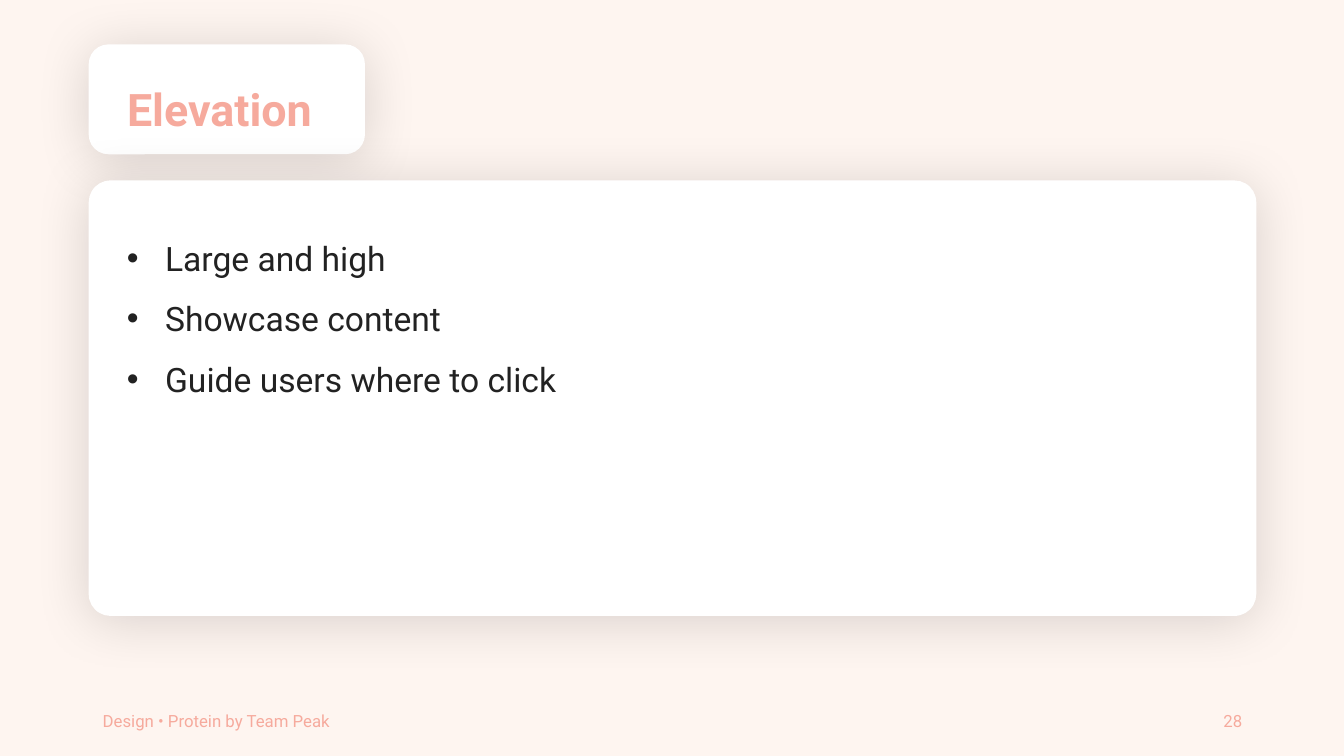
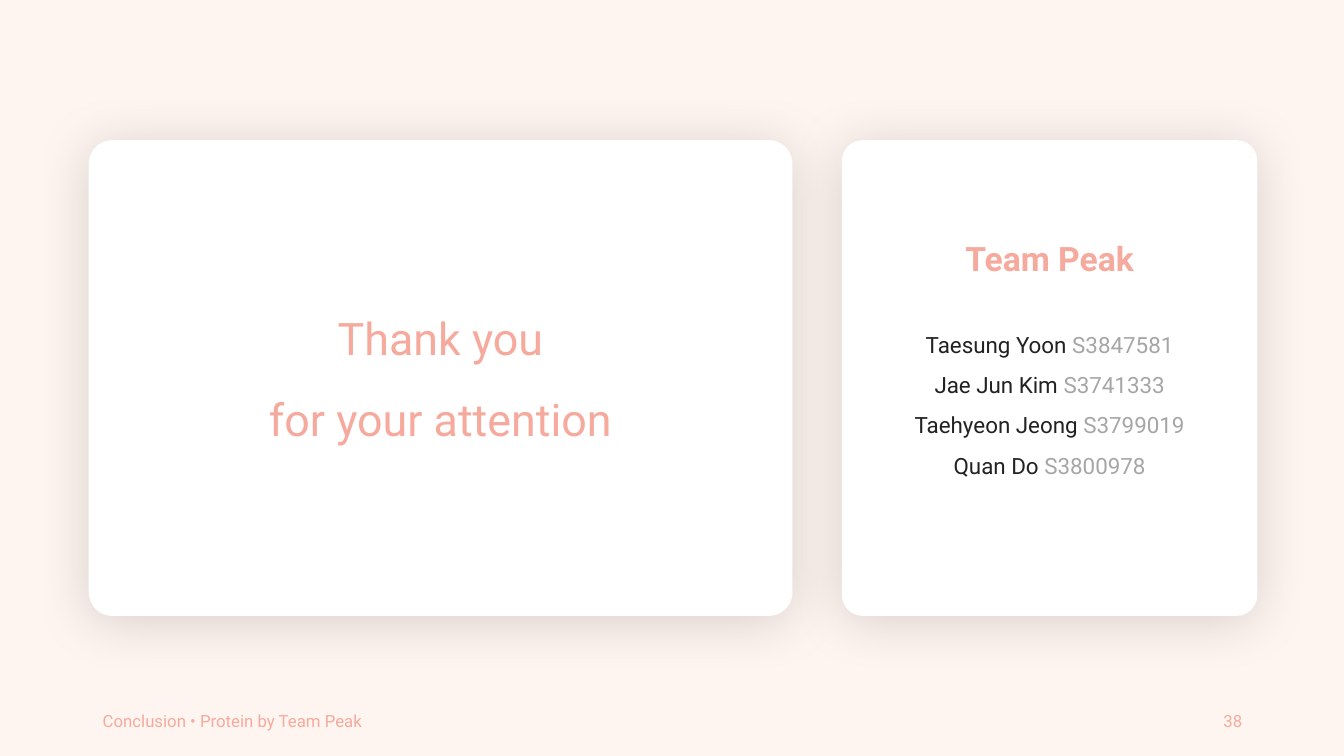
from lxml.etree import SubElement
from pptx import Presentation
from pptx.dml.color import RGBColor
from pptx.enum.shapes import MSO_SHAPE
from pptx.enum.text import MSO_ANCHOR, MSO_AUTO_SIZE, PP_ALIGN
from pptx.oxml.ns import qn
from pptx.util import Inches, Pt

COLORS = {
    "background": "FEF5F0",
    "card": "FFFFFF",
    "accent": "F6AA9D",
    "text": "222222",
    "muted": "A6A6A6",
    "shadow": "000000",
}
FONT = "Roboto"
TITLE_ONLY = 5
MARGIN = 0.88
CARD_BOTTOM = 6.11
FOOTER_TOP, FOOTER_HEIGHT = 6.95, 0.4

TITLE = {"size": Pt(32), "color": "accent", "bold": True}
CLOSING = {"size": Pt(32), "color": "accent", "bold": False}
HEADING = {"size": Pt(24), "color": "accent", "bold": True}
BULLET = {"size": Pt(24), "color": "text"}
MEMBER = {"size": Pt(16), "color": "text"}
STUDENT_ID = {"size": Pt(16), "color": "muted"}
FOOTER = {"size": Pt(12), "color": "accent"}


def rgb(name):
    return RGBColor.from_string(COLORS[name])


def add_run(p, text, style):
    r = p.add_run()
    r.text = text
    r.font.name = FONT
    for name, value in style.items():
        if name == "color":
            r.font.color.rgb = rgb(value)
        else:
            setattr(r.font, name, value)


def add_paragraph(tf, runs, **formats):
    """Fill the first paragraph if it is still empty, otherwise append one."""
    p = tf.paragraphs[0] if not tf.text else tf.add_paragraph()
    for name, value in formats.items():
        setattr(p, name, value)
    for text, style in runs:
        add_run(p, text, style)
    return p


def format_frame(tf, anchor):
    tf.word_wrap = True
    tf.auto_size = MSO_AUTO_SIZE.NONE
    tf.vertical_anchor = anchor


def add_text_box(s, box, anchor=MSO_ANCHOR.TOP):
    tf = s.shapes.add_textbox(*map(Inches, box)).text_frame
    format_frame(tf, anchor)
    return tf


def add_shadow(sp):
    sp.shadow.inherit = False
    effects = sp._element.spPr.find(qn("a:effectLst"))
    shadow = SubElement(effects, qn("a:outerShdw"), blurRad=str(Pt(40)),
                        dist=str(Pt(4)), dir="5400000", algn="t",
                        rotWithShape="0")
    color = SubElement(shadow, qn("a:srgbClr"), val=COLORS["shadow"])
    SubElement(color, qn("a:alpha"), val="15000")


def add_card(s, box, radius=0.05):
    sp = s.shapes.add_shape(MSO_SHAPE.ROUNDED_RECTANGLE, *map(Inches, box))
    sp.adjustments[0] = radius
    sp.fill.solid()
    sp.fill.fore_color.rgb = rgb("card")
    sp.line.fill.background()
    add_shadow(sp)
    format_frame(sp.text_frame, MSO_ANCHOR.MIDDLE)
    return sp


def place_title(s, box, anchor):
    """Put the title placeholder in front of the cards."""
    sp = s.shapes.title
    sp._element.getparent().append(sp._element)
    sp.left, sp.top, sp.width, sp.height = map(Inches, box)
    format_frame(sp.text_frame, anchor)
    return sp.text_frame


def add_bullet(tf, text):
    p = add_paragraph(tf, [(text, BULLET)], line_spacing=1.5)
    pPr = p._p.get_or_add_pPr()
    pPr.set("marL", str(Inches(0.38)))
    pPr.set("indent", str(Inches(-0.38)))
    SubElement(pPr, qn("a:buFont"), typeface="Arial")
    SubElement(pPr, qn("a:buChar"), char="•")


def add_footer(s, section, number):
    for text, left, width, align in (
        (f"{section} • Protein by Team Peak", 0.92, 4.5, PP_ALIGN.LEFT),
        (str(number), 9.42, 3, PP_ALIGN.RIGHT),
    ):
        tf = add_text_box(s, (left, FOOTER_TOP, width, FOOTER_HEIGHT),
                          MSO_ANCHOR.MIDDLE)
        add_paragraph(tf, [(text, FOOTER)], alignment=align)


def add_slide(prs):
    return prs.slides.add_slide(prs.slide_layouts[TITLE_ONLY])


def build_elevation(prs):
    s = add_slide(prs)
    add_card(s, (MARGIN, 0.44, 2.74, 1.09), 0.18)
    top = 1.79
    add_card(s, (MARGIN, top, 11.58, CARD_BOTTOM - top))
    tf = place_title(s, (1.16, 0.49, 2.21, 0.84), MSO_ANCHOR.TOP)
    add_paragraph(tf, [("Elevation", TITLE)],
                  alignment=PP_ALIGN.LEFT, line_spacing=1.5)
    tf = add_text_box(s, (1.16, 2.11, 4.97, 1.86))
    for text in ("Large and high", "Showcase content",
                 "Guide users where to click"):
        add_bullet(tf, text)
    add_footer(s, "Design", 28)


def build_closing(prs):
    s = add_slide(prs)
    top = 1.39
    height = CARD_BOTTOM - top
    thanks_box = (MARGIN, top, 6.98, height)
    add_card(s, thanks_box)
    tf = add_card(s, (8.35, top, 4.12, height)).text_frame
    tf.margin_bottom = Inches(0.44)
    add_paragraph(tf, [("Team Peak", HEADING)],
                  alignment=PP_ALIGN.CENTER, space_after=Pt(28))
    for name, student_id in (
        ("Taesung Yoon", "S3847581"),
        ("Jae Jun Kim", "S3741333"),
        ("Taehyeon Jeong", "S3799019"),
        ("Quan Do", "S3800978"),
    ):
        add_paragraph(tf, [(f"{name} ", MEMBER), (student_id, STUDENT_ID)],
                      alignment=PP_ALIGN.CENTER, line_spacing=1.5)
    tf = place_title(s, thanks_box, MSO_ANCHOR.MIDDLE)
    for text, spacing in (("Thank you", 1.0), ("for your attention", 1.5)):
        add_paragraph(tf, [(text, CLOSING)],
                      alignment=PP_ALIGN.CENTER, line_spacing=spacing)
    add_footer(s, "Conclusion", 38)


def main():
    prs = Presentation()
    prs.slide_width, prs.slide_height = Inches(13.33), Inches(7.5)
    fill = prs.slide_master.background.fill
    fill.solid()
    fill.fore_color.rgb = rgb("background")
    build_elevation(prs)
    build_closing(prs)
    prs.save("out.pptx")


if __name__ == "__main__":
    main()
